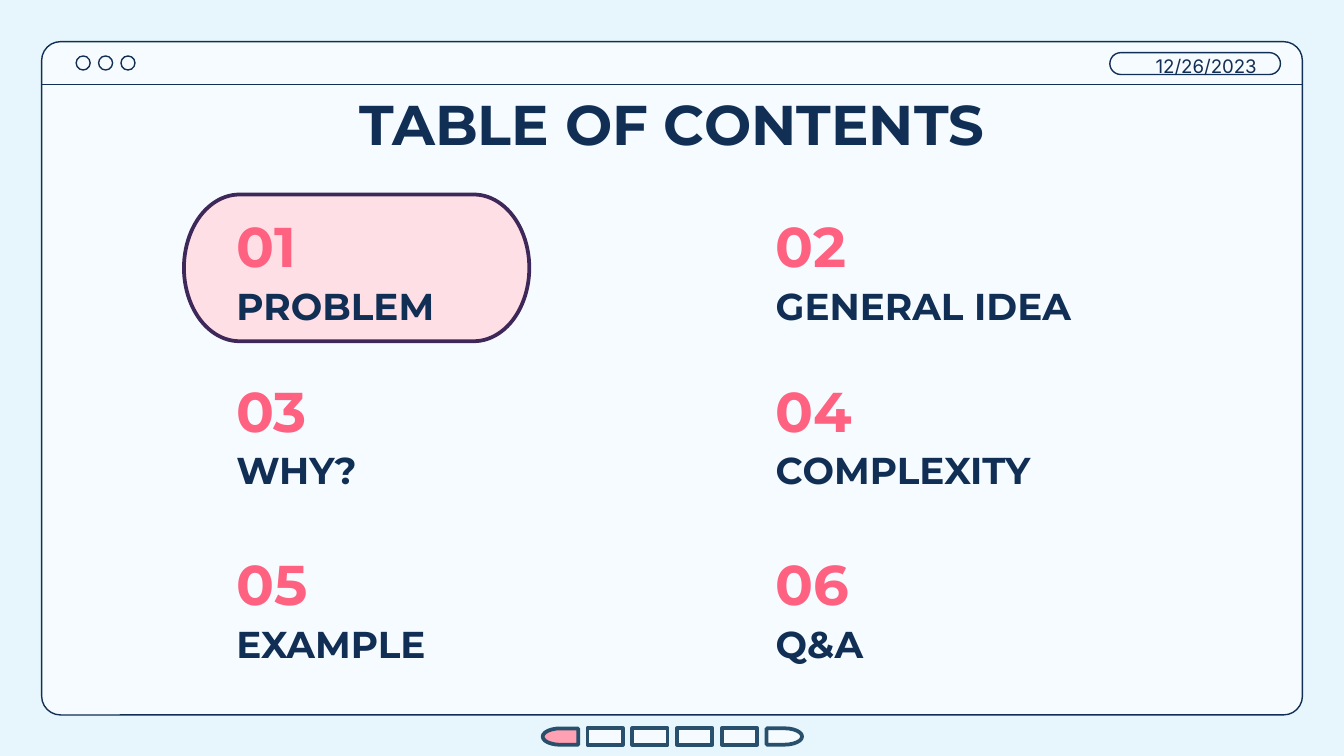
from pptx import Presentation
from pptx.dml.color import RGBColor
from pptx.enum.shapes import MSO_CONNECTOR, MSO_SHAPE
from pptx.enum.text import MSO_ANCHOR, MSO_AUTO_SIZE, PP_ALIGN
from pptx.oxml.ns import qn
from pptx.util import Pt
from lxml import etree

ROUND = MSO_SHAPE.ROUNDED_RECTANGLE
OVAL = MSO_SHAPE.OVAL
RECT = MSO_SHAPE.RECTANGLE
DELAY = MSO_SHAPE.FLOWCHART_DELAY
PILL = MSO_SHAPE.FLOWCHART_TERMINATOR
STRAIGHT = MSO_CONNECTOR.STRAIGHT
TOP, MID, LOW = MSO_ANCHOR.TOP, MSO_ANCHOR.MIDDLE, MSO_ANCHOR.BOTTOM
LEFT, CENTER = PP_ALIGN.LEFT, PP_ALIGN.CENTER
FIXED = MSO_AUTO_SIZE.NONE

COLORS = {
    "sky": "E6F6FC",
    "pane": "F5FBFF",
    "navy": "112E54",
    "rose": "FF6180",
    "blush": "FFDFE6",
    "plum": "3E285A",
    "steel": "28506C",
    "pink": "FFA0B3",
}
HEAD = "Montserrat"
BODY = "Inter"


def color(name):
    return RGBColor.from_string(COLORS[name])


class Deck:
    def __init__(self, wide, high):
        self.file = Presentation()
        self.file.slide_width, self.file.slide_height = Pt(wide), Pt(high)
        self.slide = self.file.slides.add_slide(self.file.slide_layouts[5])
        back = self.slide.background.fill
        back.solid()
        back.fore_color.rgb = color("sky")

    def shape(self, kind, box, fill=None, line="navy", width=0.75, adj=None, turn=0):
        item = self.slide.shapes.add_shape(kind, *map(Pt, box))
        item.shadow.inherit = False
        if fill:
            item.fill.solid()
            item.fill.fore_color.rgb = color(fill)
        else:
            item.fill.background()
        item.line.color.rgb = color(line)
        item.line.width = Pt(width)
        if adj is not None:
            item.adjustments[0] = adj
        item.rotation = turn

    def rule(self, left, right, y):
        item = self.slide.shapes.add_connector(STRAIGHT, Pt(left), Pt(y), Pt(right), Pt(y))
        item.line.color.rgb = color("navy")
        item.line.width = Pt(0.75)
        etree.SubElement(item.element.spPr, qn("a:effectLst"))

    def label(self, item, words, size, tint, font=HEAD, bold=True,
              anchor=TOP, align=LEFT, space=1.15, indent=0):
        frame = item.text_frame
        frame.word_wrap = True
        frame.auto_size = FIXED
        frame.vertical_anchor = anchor
        frame.margin_left = frame.margin_right = Pt(7.2)
        frame.margin_top = frame.margin_bottom = Pt(7.2)
        para = frame.paragraphs[0]
        para.alignment = align
        para.line_spacing = space
        if indent:
            props = para._p.get_or_add_pPr()
            props.set("marL", str(Pt(indent)))
            props.set("indent", "0")
        run = para.add_run()
        run.text = words
        run.font.name = font
        run.font.size = Pt(size)
        run.font.bold = bold
        run.font.color.rgb = color(tint)

    def title(self, box, words):
        item = self.slide.shapes.title
        item.left, item.top, item.width, item.height = map(Pt, box)
        item.element.getparent().append(item.element)
        self.label(item, words, 30, "navy", align=CENTER, space=1.0)

    def text(self, box, words, size, tint, **style):
        item = self.slide.shapes.add_textbox(*map(Pt, box))
        self.label(item, words, size, tint, **style)

    def save(self):
        self.file.save("out.pptx")


def main():
    deck = Deck(720, 405)

    deck.shape(ROUND, (22.3, 22.3, 675.4, 360.7), "pane", adj=0.028)
    for i in range(3):
        deck.shape(OVAL, (40.8 + 12 * i, 30, 7.5, 7.5))
    deck.shape(ROUND, (594.6, 28.2, 91.4, 11.7), adj=0.5)
    deck.rule(22.3, 697.7, 45.2)

    deck.shape(PILL, (98.6, 104.2, 185, 78.6), "blush", "plum", 2)
    deck.title((56.7, 41, 606.6, 45.4), "TABLE OF CONTENTS")
    deck.text((601.2, 20.2, 99.4, 28), "12/26/2023", 10, "navy",
              font=BODY, bold=False, indent=10.8)

    topics = ["PROBLEM", "GENERAL IDEA", "WHY?", "COMPLEXITY", "EXAMPLE", "Q&A"]
    cols = (119.5, 408.5)
    rows = (110.4, 198.4, 291.6)
    for i, topic in enumerate(topics):
        x, y = cols[i % 2], rows[i // 2]
        deck.text((x, y, 75, 36.7), f"{i + 1:02}", 30, "rose", anchor=MID)
        deck.text((x, y + 37, 247.7, 35.3), topic, 20, "navy", anchor=LOW)

    last = len(topics) - 1
    for i in range(len(topics)):
        deck.shape(DELAY if i in (0, last) else RECT, (290.7 + 24 * i, 390.2, 19, 8.8),
                   "pane" if i else "pink", "steel", 2, turn=0 if i else 180)

    deck.save()


if __name__ == "__main__":
    main()
